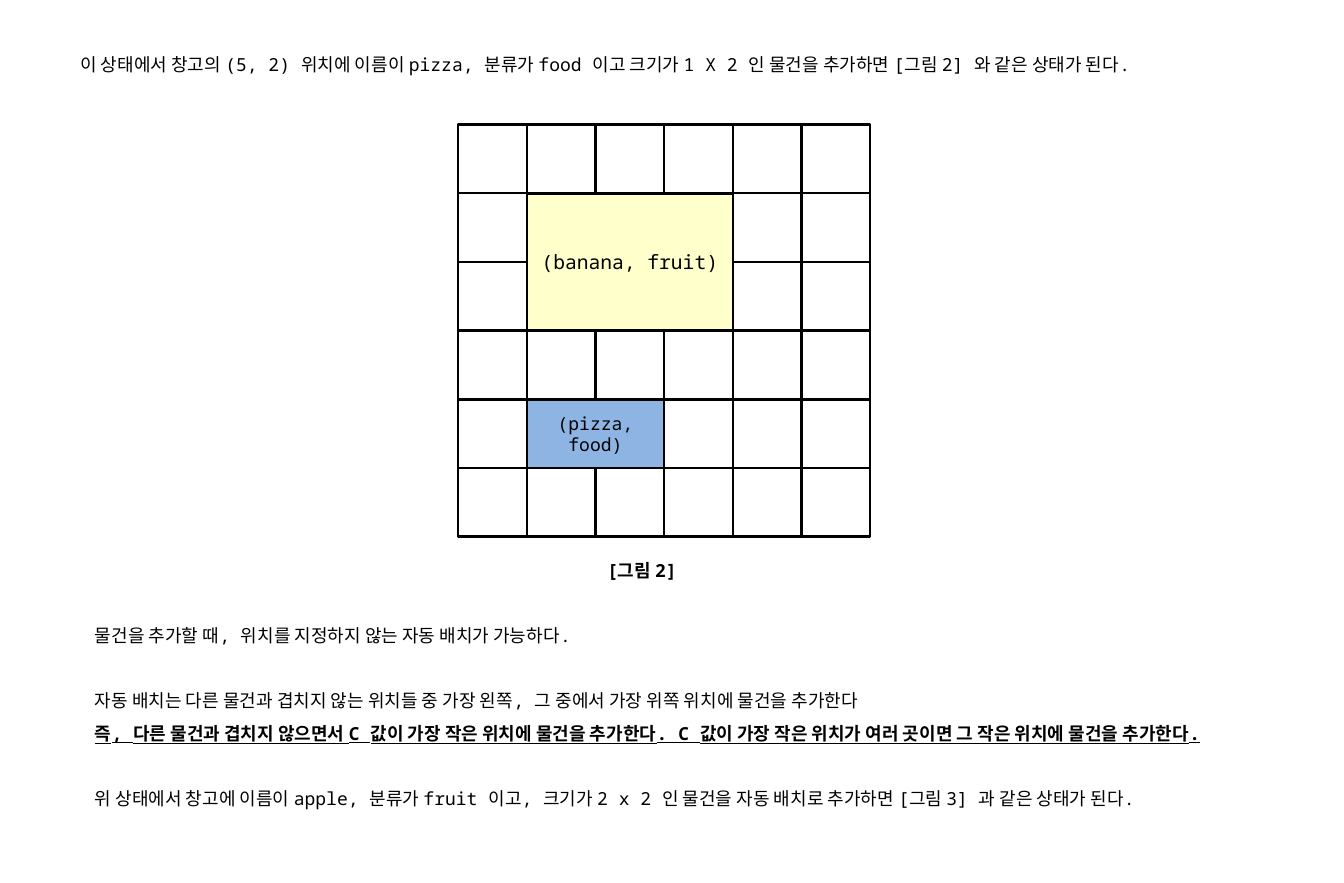
from dataclasses import dataclass

from pptx import Presentation
from pptx import util as u
from pptx.dml.color import RGBColor
from pptx.enum import shapes, text


@dataclass(frozen=True)
class Theme:
    font: str = "Noto Sans Mono"
    ink: str = "000000"
    fruit: str = "FFFFCC"
    food: str = "8EB4E3"
    body: int = 11
    label: int = 12
    line: float = 1.5
    gap: int = 20


def px(n):
    return u.Emu(n * 7620)


class Page:
    def __init__(self, deck, theme):
        self.theme = theme
        self.slide = deck.slides.add_slide(deck.slide_layouts[6])

    def style(self, para, size, bold=False):
        font = para.font
        font.name = self.theme.font
        font.size = u.Pt(size)
        font.bold = bold
        font.underline = bold and para.text.endswith(".")
        font.color.rgb = RGBColor.from_string(self.theme.ink)

    def prose(self, x, y, w, h, lines, lead):
        box = self.slide.shapes.add_textbox(px(x), px(y), px(w), px(h))
        frame = box.text_frame
        frame.word_wrap = True
        frame.auto_size = text.MSO_AUTO_SIZE.SHAPE_TO_FIT_TEXT
        for i, (words, bold, gap) in enumerate(lines):
            para = frame.add_paragraph() if i else frame.paragraphs[0]
            para.text = words
            para.line_spacing = lead
            if gap:
                para.space_before = u.Pt(self.theme.gap)
            self.style(para, self.theme.body, bold)

    def group(self):
        return self.slide.shapes.add_group_shape()

    def rect(self, group, x, y, w, h, fill=None):
        box = group.shapes.add_shape(
            shapes.MSO_SHAPE.RECTANGLE, px(x), px(y), px(w), px(h))
        box.shadow.inherit = False
        if fill:
            box.fill.solid()
            box.fill.fore_color.rgb = RGBColor.from_string(fill)
        else:
            box.fill.background()
        box.line.color.rgb = RGBColor.from_string(self.theme.ink)
        box.line.width = u.Pt(self.theme.line)
        return box

    def item(self, group, area, fill, words, size, pad=(12, 6)):
        frame = self.rect(group, *area, fill).text_frame
        frame.word_wrap = True
        frame.vertical_anchor = text.MSO_ANCHOR.MIDDLE
        frame.margin_left = frame.margin_right = px(pad[0])
        frame.margin_top = frame.margin_bottom = px(pad[1])
        para = frame.paragraphs[0]
        para.text = words
        para.alignment = text.PP_ALIGN.CENTER
        self.style(para, size)


INTRO = "이 상태에서 창고의 (5, 2) 위치에 이름이 pizza, 분류가 food 이고 크기가 1 X 2 인 물건을 추가하면 [그림 2] 와 같은 상태가 된다."
RULES = [
    ("물건을 추가할 때, 위치를 지정하지 않는 자동 배치가 가능하다.", False, False),
    ("자동 배치는 다른 물건과 겹치지 않는 위치들 중 가장 왼쪽, 그 중에서 가장 위쪽 위치에 물건을 추가한다", False, True),
    ("즉, 다른 물건과 겹치지 않으면서 C 값이 가장 작은 위치에 물건을 추가한다. C 값이 가장 작은 위치가 여러 곳이면 그 작은 위치에 물건을 추가한다.", True, False),
    ("위 상태에서 창고에 이름이 apple, 분류가 fruit 이고, 크기가 2 x 2 인 물건을 자동 배치로 추가하면 [그림 3] 과 같은 상태가 된다.", False, True),
]
LEFT, TOP, CELL, COUNT = 467, 127, 70, 6


def area(row, col, high=1, wide=1):
    return LEFT + col * CELL, TOP + row * CELL, wide * CELL, high * CELL


def main():
    deck = Presentation()
    deck.slide_width, deck.slide_height = px(1370), px(900)
    theme = Theme()
    page = Page(deck, theme)

    page.prose(70, 38, 1199, 42, [(INTRO, False, False)], 1.5)
    store = page.group()
    for row in range(COUNT):
        for col in range(COUNT):
            page.rect(store, *area(row, col))
    page.item(store, area(1, 1, 2, 3), theme.fruit, "(banana, fruit)", theme.label)
    page.item(store, area(4, 1, 1, 2), theme.food, "(pizza, food)", theme.body, (5, 6))
    page.prose(607, 558, 107, 38, [("[그림 2]", True, False)], 1.3)
    page.prose(85, 620, 1199, 241, RULES, 1.5)

    deck.save("out.pptx")


if __name__ == "__main__":
    main()
